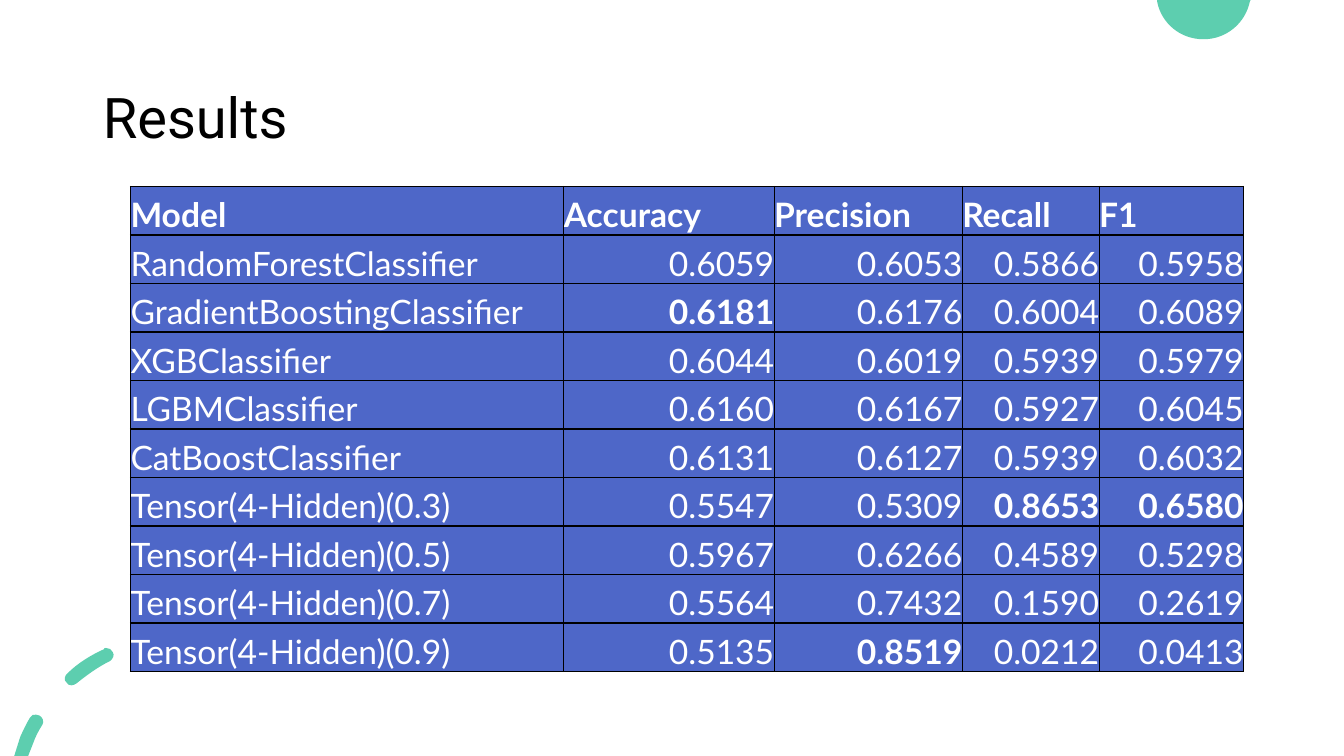
from lxml import etree
from pptx import Presentation
from pptx.dml.color import RGBColor
from pptx.enum.text import MSO_ANCHOR, PP_ALIGN
from pptx.oxml import parse_xml
from pptx.oxml.ns import nsdecls, qn
from pptx.util import Cm, Pt

COLORS = {"accent": "5DCEAF", "cell": "4E67C8", "cell_text": "FFFFFF",
          "title": "000000", "border": "000000"}

HEADERS = ["Model", "Accuracy", "Precision", "Recall", "F1"]
SCORES = {
    "RandomForestClassifier": (0.6059, 0.6053, 0.5866, 0.5958),
    "GradientBoostingClassifier": (0.6181, 0.6176, 0.6004, 0.6089),
    "XGBClassifier": (0.6044, 0.6019, 0.5939, 0.5979),
    "LGBMClassifier": (0.6160, 0.6167, 0.5927, 0.6045),
    "CatBoostClassifier": (0.6131, 0.6127, 0.5939, 0.6032),
    "Tensor(4-Hidden)(0.3)": (0.5547, 0.5309, 0.8653, 0.6580),
    "Tensor(4-Hidden)(0.5)": (0.5967, 0.6266, 0.4589, 0.5298),
    "Tensor(4-Hidden)(0.7)": (0.5564, 0.7432, 0.1590, 0.2619),
    "Tensor(4-Hidden)(0.9)": (0.5135, 0.8519, 0.0212, 0.0413),
}
COLUMN_WIDTHS = [10.92, 5.3, 4.74, 3.45, 3.64]
TABLE_HEIGHT = 12.22

# Outlines in cm: a start point, then lines (x, y) and cubic curves (six numbers).
TOP_CIRCLE = [
    (29.16, 0), (31.52, 0), (31.5, 0.03),
    (31.39, 0.58, 30.91, 0.99, 30.33, 0.99),
    (29.74, 0.99, 29.26, 0.58, 29.16, 0.03),
]
LOWER_DASH = [
    (0.91, 18.01), (0.86, 17.98, 0.79, 18.03, 0.76, 18.08),
    (0.66, 18.24, 0.58, 18.42, 0.51, 18.57),
    (0.36, 19.05), (0.71, 19.05), (0.84, 18.72),
    (0.89, 18.57, 0.97, 18.42, 1.07, 18.26),
    (1.12, 18.19, 1.07, 18.06, 0.99, 18.03),
    (0.97, 18.01, 0.94, 18.01, 0.91, 18.01),
]
MIDDLE_DASH = [
    (2.67, 16.33), (2.64, 16.33, 2.62, 16.33, 2.62, 16.36),
    (2.29, 16.51, 1.96, 16.71, 1.7, 16.97),
    (1.63, 17.02, 1.6, 17.15, 1.68, 17.2),
    (1.7, 17.25, 1.75, 17.27, 1.8, 17.27),
    (1.85, 17.27, 1.88, 17.25, 1.93, 17.22),
    (2.18, 17.02, 2.46, 16.81, 2.77, 16.66),
    (2.84, 16.61, 2.9, 16.51, 2.84, 16.43),
    (2.82, 16.36, 2.74, 16.33, 2.67, 16.33),
]
UPPER_DASH = [
    (4.55, 15.88), (4.37, 15.88, 4.19, 15.9, 4.01, 15.93),
    (3.91, 15.93, 3.84, 16.03, 3.86, 16.13),
    (3.86, 16.21, 3.94, 16.28, 4.01, 16.28),
    (4.04, 16.28, 4.04, 16.28, 4.04, 16.28),
    (4.39, 16.23, 4.72, 16.23, 5.05, 16.26),
    (5.16, 16.28, 5.26, 16.21, 5.26, 16.13),
    (5.28, 16.03, 5.21, 15.93, 5.11, 15.93),
    (4.93, 15.9, 4.72, 15.88, 4.55, 15.88),
]


def color(name):
    return RGBColor.from_string(COLORS[name])


def write_text(frame, text, *, font, size, fill, bold=False,
               align=PP_ALIGN.LEFT, line_spacing=None):
    paragraph = frame.paragraphs[0]
    paragraph.alignment = align
    paragraph.line_spacing = line_spacing
    run = paragraph.add_run()
    run.text = text
    run.font.name = font
    run.font.size = Pt(size)
    run.font.bold = bold
    run.font.color.rgb = color(fill)


def segment_points(segment):
    """Return the points of a line (one) or a cubic curve (three)."""
    lengths = [Cm(value) for value in segment]
    return list(zip(lengths[::2], lengths[1::2]))


def bend_curves(shape, outlines):
    """Turn each three lines that stand for a curve into one cubic curve."""
    commands = iter(list(shape._element.find(".//" + qn("a:path"))))
    for outline in outlines:
        for segment in outline:
            command = next(commands)
            if len(segment) == 6:
                command.addprevious(curve := etree.Element(qn("a:cubicBezTo")))
                for line in (command, next(commands), next(commands)):
                    curve.append(line[0])
                    line.getparent().remove(line)
        next(commands)  # the closing command


def add_outlines(slide, *outlines):
    builder = slide.shapes.build_freeform(*segment_points(outlines[0][0])[0])
    for index, (start, *segments) in enumerate(outlines):
        if index:
            builder.move_to(*segment_points(start)[0])
        points = [point for segment in segments for point in segment_points(segment)]
        builder.add_line_segments(points, close=True)
    shape = builder.convert_to_shape()
    bend_curves(shape, outlines)
    shape.shadow.inherit = False
    shape.fill.solid()
    shape.fill.fore_color.rgb = color("accent")
    shape.line.fill.background()


def add_title(slide, text):
    title = slide.shapes.title
    title.left, title.top, title.width, title.height = Cm(2.34), Cm(1.19), Cm(29.21), Cm(3.68)
    title.text_frame.vertical_anchor = MSO_ANCHOR.MIDDLE
    write_text(title.text_frame, text, font="Roboto", size=40, fill="title", line_spacing=0.9)


def format_cell(cell):
    cell.margin_left = cell.margin_top = cell.margin_right = cell.margin_bottom = 0
    cell.vertical_anchor = MSO_ANCHOR.BOTTOM
    properties = cell._tc.get_or_add_tcPr()
    for side in ("lnL", "lnR", "lnT", "lnB"):
        properties.append(parse_xml(
            f'<a:{side} {nsdecls("a")} w="{Pt(1)}"><a:solidFill>'
            f'<a:srgbClr val="{COLORS["border"]}"/></a:solidFill></a:{side}>'))
    cell.fill.solid()
    cell.fill.fore_color.rgb = color("cell")


def add_score_table(slide):
    """Add the table, with the header and the best score of each column in bold."""
    best = [max(column) for column in zip(*SCORES.values())]
    rows = [[(header, True, PP_ALIGN.LEFT) for header in HEADERS]]
    for model, scores in SCORES.items():
        rows.append([(model, False, PP_ALIGN.LEFT)] + [
            (f"{score:.4f}", score == top, PP_ALIGN.RIGHT)
            for score, top in zip(scores, best)])
    table = slide.shapes.add_table(
        len(rows), len(HEADERS), Cm(3.29), Cm(4.7),
        Cm(sum(COLUMN_WIDTHS)), Cm(TABLE_HEIGHT)).table
    for column, width in zip(table.columns, COLUMN_WIDTHS):
        column.width = Cm(width)
    for row, entries in zip(table.rows, rows):
        row.height = Cm(TABLE_HEIGHT / len(rows))
        for cell, (text, bold, align) in zip(row.cells, entries):
            format_cell(cell)
            write_text(cell.text_frame, text, font="Lato", size=24,
                       fill="cell_text", bold=bold, align=align)


def main():
    presentation = Presentation()
    presentation.slide_width, presentation.slide_height = Cm(33.87), Cm(19.05)
    slide = presentation.slides.add_slide(presentation.slide_layouts[5])
    add_outlines(slide, TOP_CIRCLE)
    add_outlines(slide, LOWER_DASH, MIDDLE_DASH, UPPER_DASH)
    add_score_table(slide)
    add_title(slide, "Results")
    presentation.save("out.pptx")


if __name__ == "__main__":
    main()
